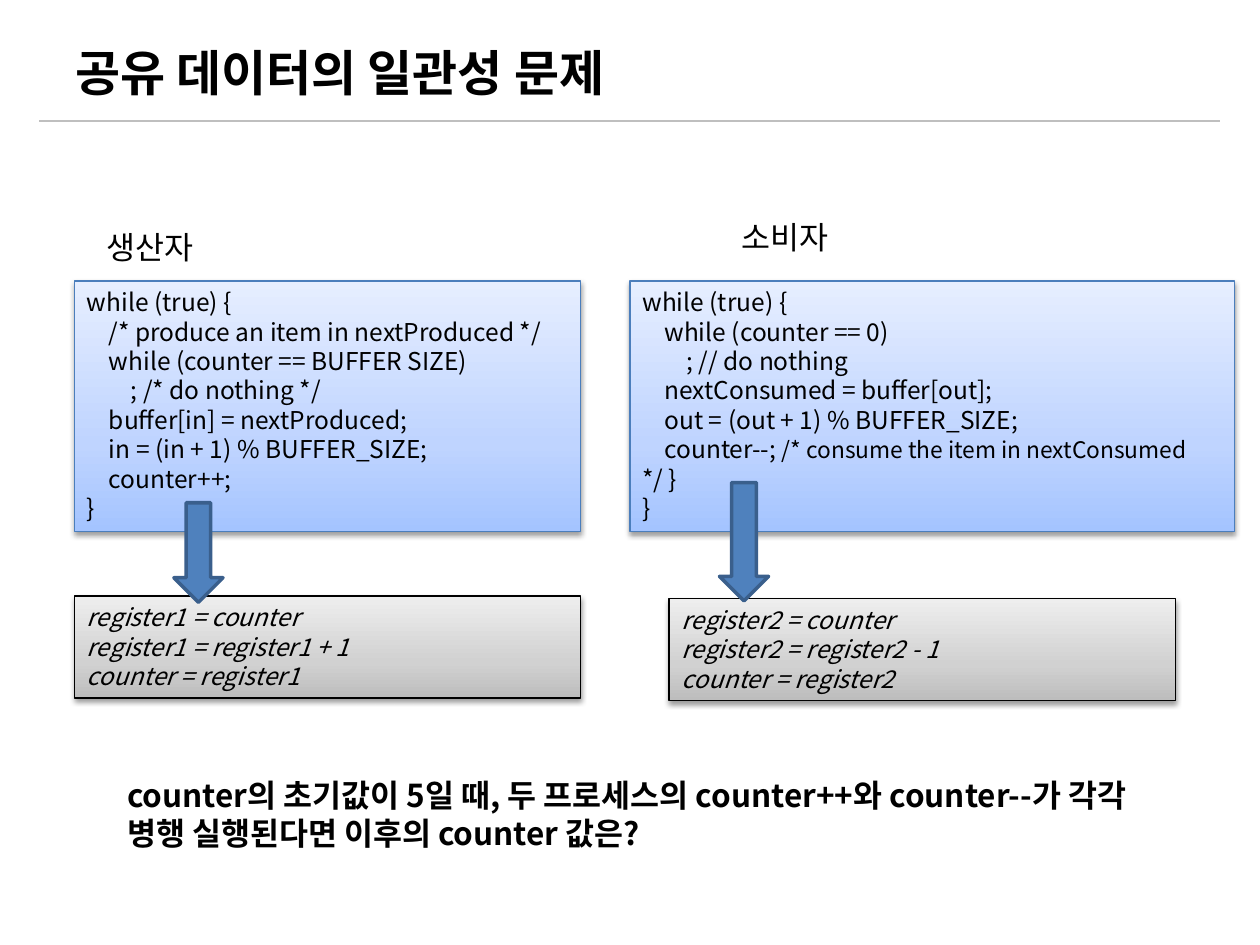
from lxml import etree
from pptx import Presentation
from pptx.dml.color import RGBColor
from pptx.enum import shapes, text
from pptx.oxml import ns
from pptx.util import Inches, Pt

FONT = "Noto Sans CJK KR"
STEP = 0.175  # one code indent level

SHADOW = (
    '<a:effectLst xmlns:a="%s"><a:outerShdw blurRad="40000" dist="20000" dir="5400000" '
    'rotWithShape="0"><a:srgbClr val="000000"><a:alpha val="38000"/></a:srgbClr>'
    '</a:outerShdw></a:effectLst>' % ns.nsuri("a"))


def color(value):
    return RGBColor.from_string(value)


def write(frame, lines, size, bold=False, italic=False):
    """Each line is (indent level, [(wording, size or None), ...])."""
    frame.word_wrap = True
    frame.vertical_anchor = text.MSO_ANCHOR.TOP
    for number, (level, pieces) in enumerate(lines):
        line = frame.add_paragraph() if number else frame.paragraphs[0]
        line.alignment = text.PP_ALIGN.LEFT
        line.line_spacing = Pt(size * 1.2)
        if level:
            line._p.get_or_add_pPr().set("marL", "0")
            line._p.get_or_add_pPr().set("indent", str(Inches(level * STEP)))
        for wording, own_size in pieces:
            run = line.add_run()
            run.text = wording
            font = run.font
            font.name, font.size = FONT, Pt(own_size or size)
            font.bold, font.italic = bold, italic
            font.color.rgb = color("000000")
            east_asian = etree.SubElement(run._r.get_or_add_rPr(), ns.qn("a:ea"))
            east_asian.set("typeface", FONT)


deck = Presentation()
deck.slide_width, deck.slide_height = Inches(10), Inches(7.5)
slide = deck.slides.add_slide(deck.slide_layouts[5])

# Title and rule below it
rule = slide.shapes.add_connector(
    shapes.MSO_CONNECTOR.STRAIGHT, Inches(0.31), Inches(0.96), Inches(9.68), Inches(0.96))
rule.line.color.rgb = color("BFBFBF")
rule.line.width = Pt(0.75)
etree.SubElement(rule._element.spPr, ns.qn("a:effectLst"))

title = slide.shapes.title
title.left, title.top = Inches(0.5), Inches(0.3)
title.width, title.height = Inches(9), Inches(0.54)
write(title.text_frame, [(0, [("공유 데이터의 일관성 문제", None)])], 28, bold=True)
title.text_frame.vertical_anchor = text.MSO_ANCHOR.MIDDLE

# Plain texts: process names and the question
question = "counter의 초기값이 5일 때, 두 프로세스의 counter++와 counter--가 각각 병행 실행된다면 이후의 counter 값은?"
for wording, left, top, width, height, bold in [
        ("생산자", 0.75, 1.76, 1.5, 0.4, False),
        ("소비자", 5.79, 1.68, 1.5, 0.4, False),
        (question, 0.91, 6.11, 8.35, 0.71, True)]:
    label = slide.shapes.add_textbox(Inches(left), Inches(top), Inches(width), Inches(height))
    write(label.text_frame, [(0, [(wording, None)])], 18, bold=bold)

# Code and register panels
producer = [
    (0, "while (true) {"),
    (1, "/* produce an item in nextProduced */"),
    (1, "while (counter == BUFFER SIZE)"),
    (2, "; /* do nothing */"),
    (1, "buffer[in] = nextProduced;"),
    (1, "in = (in + 1) % BUFFER_SIZE;"),
    (1, "counter++;"),
    (0, "}")]
consumer = [
    (0, "while (true) {"),
    (1, "while (counter == 0)"),
    (2, "; // do nothing"),
    (1, "nextConsumed = buffer[out];"),
    (1, "out = (out + 1) % BUFFER_SIZE;"),
    (1, [("counter--; ", None), ("/* consume the item in nextConsumed ", 13), ("*/ }", None)]),
    (0, "}")]
increment = [(0, "register1 = counter"), (0, "register1 = register1 + 1"), (0, "counter = register1")]
decrement = [(0, "register2 = counter"), (0, "register2 = register2 - 1"), (0, "counter = register2")]

blue = ("A4C4FF", "BFD4FF", "E6EEFF")
gray = ("BDBDBD", "D1D1D1", "EEEEEE")
for code, left, top, width, height, shades, outline, italic in [
        (producer, 0.59, 2.23, 4.02, 1.99, blue, "4B7EBC", False),
        (consumer, 5, 2.23, 4.8, 1.99, blue, "4B7EBC", False),
        (increment, 0.59, 4.73, 4.02, 0.81, gray, "000000", True),
        (decrement, 5.31, 4.75, 4.02, 0.81, gray, "000000", True)]:
    panel = slide.shapes.add_shape(
        shapes.MSO_SHAPE.RECTANGLE, Inches(left), Inches(top), Inches(width), Inches(height))
    panel.line.color.rgb = color(outline)
    panel.line.width = Pt(0.75)
    stops = "".join(
        f'<a:gs pos="{place}"><a:srgbClr val="{shade}"/></a:gs>'
        for place, shade in zip((0, 35000, 100000), shades))
    gradient = etree.fromstring(
        f'<a:gradFill xmlns:a="{ns.nsuri("a")}" rotWithShape="1"><a:gsLst>{stops}</a:gsLst>'
        '<a:lin ang="16200000" scaled="0"/></a:gradFill>')
    properties = panel._element.spPr
    properties.find(ns.qn("a:prstGeom")).addnext(gradient)
    properties.append(etree.fromstring(SHADOW))
    lines = [(level, [(part, None)] if isinstance(part, str) else part) for level, part in code]
    write(panel.text_frame, lines, 14, italic=italic)

# Arrows from the code to the registers
for left, top, height in [(1.38, 3.99, 0.79), (5.71, 3.83, 0.94)]:
    arrow = slide.shapes.add_shape(
        shapes.MSO_SHAPE.DOWN_ARROW, Inches(left), Inches(top), Inches(0.39), Inches(height))
    arrow.shadow.inherit = False
    arrow.fill.solid()
    arrow.fill.fore_color.rgb = color("4F81BD")
    arrow.line.color.rgb = color("3A5F8C")
    arrow.line.width = Pt(2)

deck.save("out.pptx")
